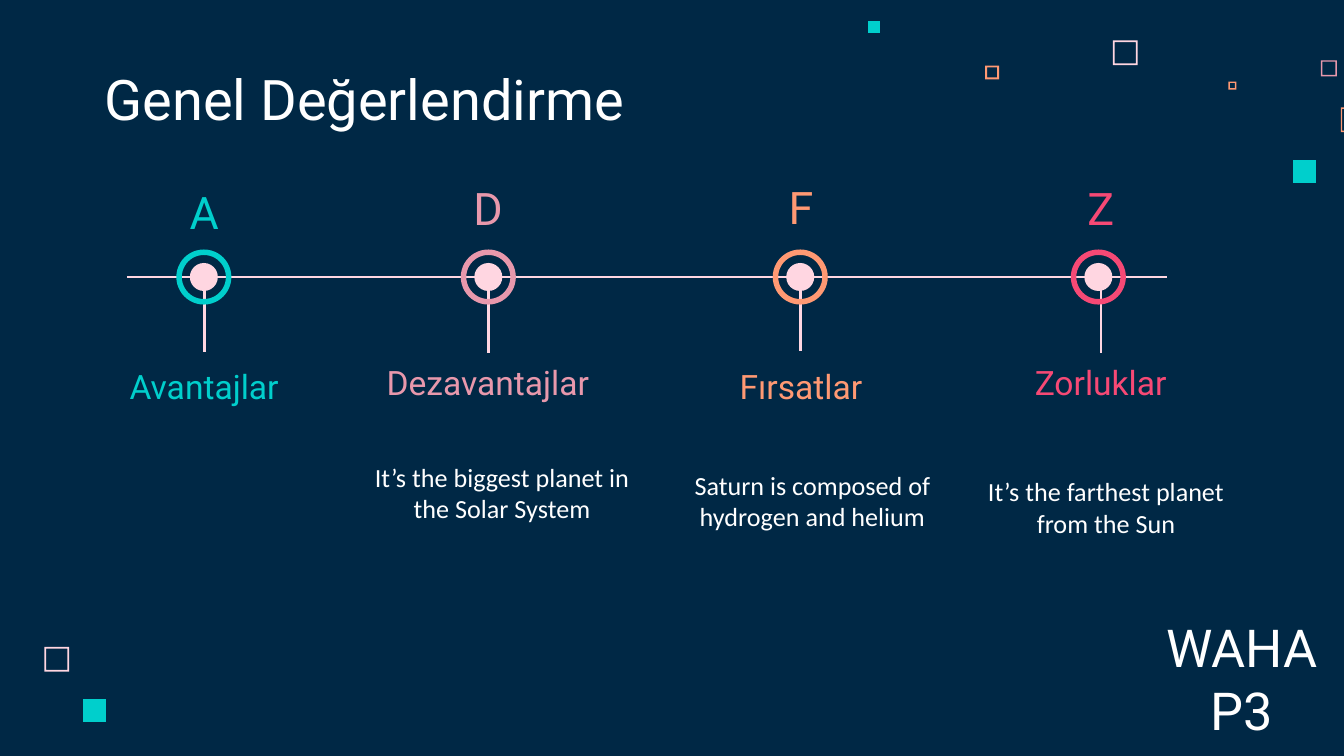
from dataclasses import dataclass
from typing import Optional

from lxml.etree import SubElement
from pptx import Presentation
from pptx.dml.color import RGBColor
from pptx.enum.shapes import MSO_CONNECTOR as Connector, MSO_SHAPE as Shape
from pptx.enum.text import MSO_ANCHOR as Anchor, PP_ALIGN as Align
from pptx.oxml.ns import qn
from pptx.util import Pt

NAVY = RGBColor(0x00, 0x28, 0x45)
WHITE = RGBColor(0xFF, 0xFF, 0xFF)
BLUSH = RGBColor(0xFF, 0xD6, 0xE1)
TEAL = RGBColor(0x00, 0xCF, 0xCC)
ROSE = RGBColor(0xE8, 0x98, 0xAC)
ORANGE = RGBColor(0xFF, 0x99, 0x73)
RED = RGBColor(0xF6, 0x49, 0x75)

AXIS_Y = 148.4
RING_SIZE = 29.5
DOT_SIZE = 15


@dataclass
class Milestone:
    letter: str
    label: str
    color: RGBColor
    center: float
    letter_top: float
    label_center: float
    label_anchor: Anchor
    stem_x: float
    stem_end: float


@dataclass
class Note:
    text: str
    left: float
    top: float
    width: float
    anchor: Anchor
    space_after: float


@dataclass
class Square:
    left: float
    top: float
    size: float
    color: RGBColor
    border: Optional[float] = None


MILESTONES = [
    Milestone("A", "Avantajlar", TEAL, 109.2, 96.5, 109.4, Anchor.TOP, 109.4, 188.6),
    Milestone("D", "Dezavantajlar", ROSE, 261.6, 94.3, 261.4, Anchor.BOTTOM, 261.5, 189.2),
    Milestone("F", "Fırsatlar", ORANGE, 428.7, 93.6, 429.1, Anchor.TOP, 428.8, 188),
    Milestone("Z", "Zorluklar", RED, 588.4, 94.3, 589.7, Anchor.BOTTOM, 589.8, 189.2),
]

NOTES = [
    Note("It’s the biggest planet in the Solar System", 185.8, 239.8, 166.3, Anchor.TOP, 16),
    Note("Saturn is composed of hydrogen and helium", 352.1, 241.2, 166.3, Anchor.BOTTOM, 0),
    Note("It’s the farthest planet from the Sun", 518.4, 247.7, 148.3, Anchor.TOP, 16),
]

SQUARES = [
    Square(596.2, 21.7, 13.2, BLUSH, 0.9),
    Square(707.6, 32.3, 8.6, ROSE, 0.75),
    Square(658.1, 43.7, 4.3, ORANGE, 0.75),
    Square(718.3, 57.6, 13.2, ORANGE, 0.75),
    Square(692.6, 85.7, 12.4, TEAL),
    Square(527.8, 35.1, 7.4, ORANGE, 1),
    Square(465, 11.3, 6.5, TEAL),
    Square(23.8, 346.6, 13.2, BLUSH, 0.9),
    Square(44.5, 374.5, 12.4, TEAL),
]


class SlideBuilder:
    heading_font = "Roboto"
    body_font = "Calibri"
    inset = Pt(7.2)
    line_width = Pt(1.5)

    def __init__(self, slide):
        self.slide = slide

    def background(self, color):
        fill = self.slide.background.fill
        fill.solid()
        fill.fore_color.rgb = color

    def paint(self, shape, color):
        shape.shadow.inherit = False
        shape.fill.solid()
        shape.fill.fore_color.rgb = color
        shape.line.fill.background()

    def square(self, square):
        left, top = square.left, square.top
        right, bottom = left + square.size, top + square.size
        builder = self.slide.shapes.build_freeform(Pt(left), Pt(top))
        builder.add_line_segments(
            [(Pt(left), Pt(bottom)), (Pt(right), Pt(bottom)), (Pt(right), Pt(top))])
        if square.border:
            left, top = left + square.border, top + square.border
            right, bottom = right - square.border, bottom - square.border
            builder.move_to(Pt(left), Pt(top))
            builder.add_line_segments(
                [(Pt(right), Pt(top)), (Pt(right), Pt(bottom)), (Pt(left), Pt(bottom))])
        self.paint(builder.convert_to_shape(), square.color)

    def line(self, start, end, color):
        connector = self.slide.shapes.add_connector(
            Connector.STRAIGHT, *(Pt(value) for value in start + end))
        connector.line.color.rgb = color
        connector.line.width = self.line_width
        SubElement(connector._element.spPr, qn("a:effectLst"))

    def round(self, kind, center_x, center_y, size, color):
        shape = self.slide.shapes.add_shape(
            kind, Pt(center_x - size / 2), Pt(center_y - size / 2), Pt(size), Pt(size))
        self.paint(shape, color)
        return shape

    def ring(self, center_x, center_y, size, color):
        self.round(Shape.DONUT, center_x, center_y, size, color).adjustments[0] = 0.1

    def text(self, text, box, size, color, font=heading_font,
             align=Align.CENTER, anchor=Anchor.BOTTOM, space_after=0):
        frame = self.slide.shapes.add_textbox(*(Pt(value) for value in box)).text_frame
        frame.word_wrap = True
        frame.vertical_anchor = anchor
        frame.margin_left = frame.margin_right = self.inset
        frame.margin_top = frame.margin_bottom = self.inset
        paragraph = frame.paragraphs[0]
        paragraph.alignment = align
        paragraph.space_after = Pt(space_after)
        run = paragraph.add_run()
        run.text = text
        run.font.name = font
        run.font.size = Pt(size)
        run.font.color.rgb = color


def main():
    presentation = Presentation()
    presentation.slide_width = Pt(720)
    presentation.slide_height = Pt(405)
    builder = SlideBuilder(presentation.slides.add_slide(presentation.slide_layouts[6]))
    builder.background(NAVY)

    for square in SQUARES:
        builder.square(square)

    builder.text("Genel Değerlendirme", (49, 32.4, 372.2, 45.4), 30, WHITE, align=Align.LEFT)
    builder.line((68, AXIS_Y), (625, AXIS_Y), BLUSH)

    for milestone in MILESTONES:
        color, center = milestone.color, milestone.center
        builder.line((milestone.stem_x, AXIS_Y), (milestone.stem_x, milestone.stem_end), BLUSH)
        builder.round(Shape.OVAL, center, AXIS_Y, DOT_SIZE, BLUSH)
        builder.ring(center, AXIS_Y, RING_SIZE, color)
        builder.text(milestone.letter, (milestone.label_center - 50.7, milestone.letter_top, 101.4, 33.8),
                     24, color, anchor=Anchor.MIDDLE)
        builder.text(milestone.label, (milestone.label_center - 74.15, 189, 148.3, 33.8),
                     18, color, anchor=milestone.label_anchor)

    for note in NOTES:
        builder.text(note.text, (note.left, note.top, note.width, 51.1), 14, WHITE,
                     font=builder.body_font, anchor=note.anchor, space_after=note.space_after)

    builder.text("WAHAP3", (609.1, 355, 112.3, 49), 28, WHITE)
    presentation.save("out.pptx")


if __name__ == "__main__":
    main()
